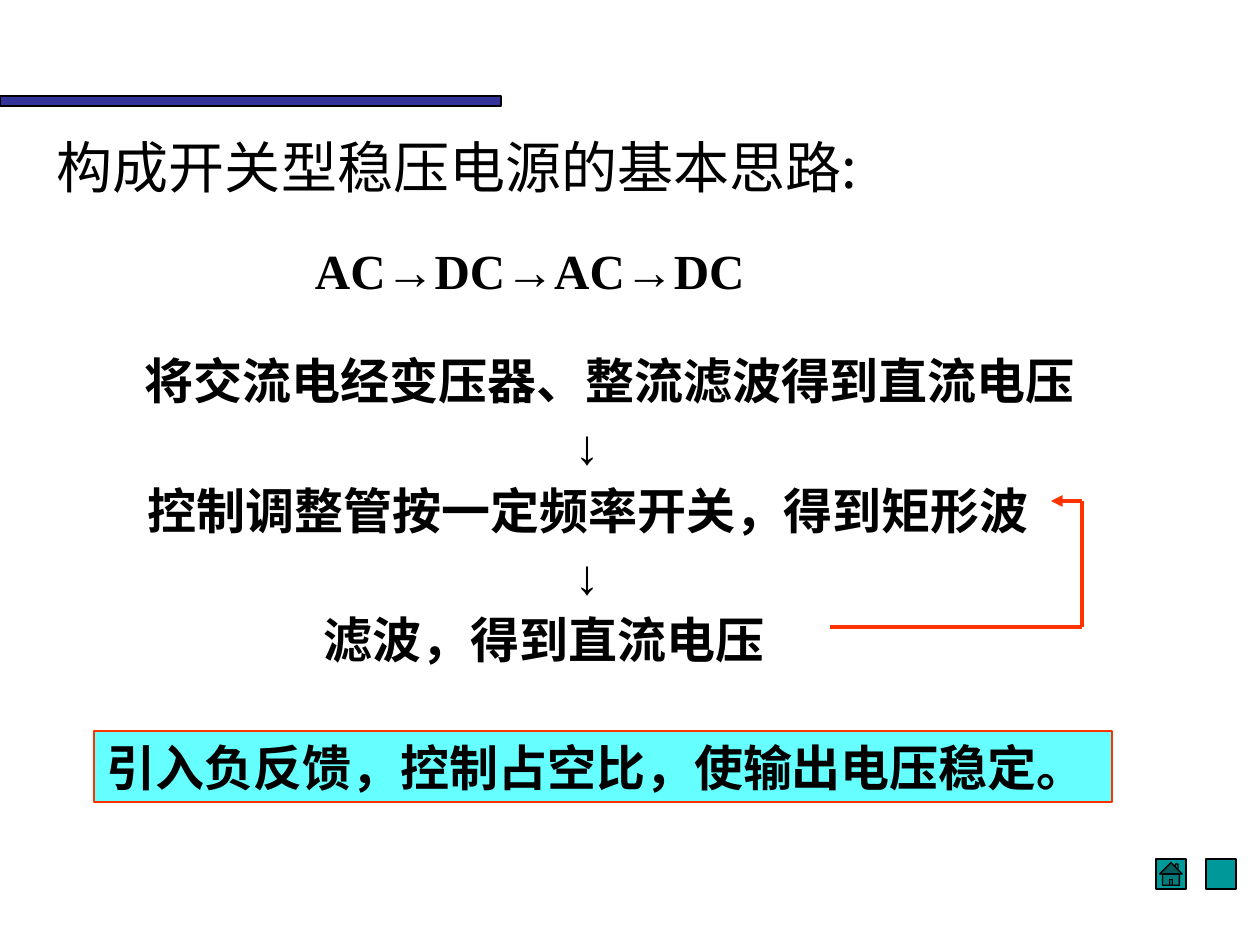
from dataclasses import dataclass
from itertools import pairwise

from lxml.etree import SubElement
from pptx import Presentation
from pptx.dml.color import RGBColor as RGB
from pptx.enum.shapes import MSO_CONNECTOR as CONN, MSO_SHAPE as SHAPE
from pptx.enum.text import MSO_ANCHOR as ANCHOR, PP_ALIGN as ALIGN
from pptx.oxml.ns import qn
from pptx.util import Emu, Pt


@dataclass(frozen=True)
class Theme:
    ink: RGB = RGB(0, 0, 0)
    bar: RGB = RGB(0x33, 0x33, 0x99)
    button: RGB = RGB(0, 0x99, 0x99)
    accent: RGB = RGB(0xFF, 0x33, 0)
    panel: RGB = RGB(0x66, 0xFF, 0xFF)
    cjk: str = "Noto Sans CJK SC"
    sans: str = "Arial"
    serif: str = "Times New Roman"
    title: int = 32
    body: int = 28
    thin: float = 0.75
    thick: float = 2.25


T = Theme()

TITLE = "构成开关型稳压电源的基本思路:"
CHAIN = "AC→DC→AC→DC"
STEPS = [  # text, indent in px
    ("将交流电经变压器、整流滤波得到直流电压", 19),
    ("↓", 449),
    ("控制调整管按一定频率开关，得到矩形波", 22),
    ("↓", 449),
    ("滤波，得到直流电压", 198),
]
CONCLUSION = "引入负反馈，控制占空比，使输出电压稳定。"
FEEDBACK = [(830, 627), (1082, 627), (1082, 501), (1051, 501)]
BUTTONS = [SHAPE.ACTION_BUTTON_HOME, SHAPE.ACTION_BUTTON_CUSTOM]
BUTTON_X, BUTTON_Y, BUTTON_SIZE, BUTTON_STEP = 1156, 859, 30, 50
INSET_X, INSET_Y = 13, 6


def px(n):
    return Emu(round(n * 914400 / 126))


def add_shape(s, kind, box, fill, line):
    sp = s.shapes.add_shape(kind, *map(px, box))
    sp.shadow.inherit = False
    sp.fill.solid()
    sp.fill.fore_color.rgb = fill
    sp.line.color.rgb = line
    sp.line.width = Pt(T.thin)
    return sp


def write(sp, lines, font, size, spacing, bold=True, anchor=ANCHOR.TOP, top=INSET_Y):
    """Fill a shape with (text, indent) lines."""
    tf = sp.text_frame
    tf.word_wrap = True
    tf.vertical_anchor = anchor
    tf.margin_left = tf.margin_right = px(INSET_X)
    tf.margin_top, tf.margin_bottom = px(top), px(INSET_Y)
    for i, (text, indent) in enumerate(lines):
        p = tf.add_paragraph() if i else tf.paragraphs[0]
        p.alignment = ALIGN.LEFT
        p.line_spacing = spacing
        if indent:
            p._p.get_or_add_pPr().set("marL", str(px(indent)))
        r = p.add_run()
        r.text = text
        r.font.name, r.font.size, r.font.bold = font, Pt(size), bold
        r.font.color.rgb = T.ink
        SubElement(r._r.get_or_add_rPr(), qn("a:ea")).set("typeface", T.cjk)


def add_line(s, start, end, arrow):
    c = s.shapes.add_connector(CONN.STRAIGHT, *map(px, start + end))
    c.line.color.rgb = T.accent
    c.line.width = Pt(T.thick)
    if arrow:
        SubElement(c.line._get_or_add_ln(), qn("a:tailEnd")).set("type", "triangle")
    SubElement(c._element.spPr, qn("a:effectLst"))


def main():
    prs = Presentation()
    prs.slide_width, prs.slide_height = px(1260), px(945)
    s = prs.slides.add_slide(prs.slide_layouts[6])

    add_shape(s, SHAPE.RECTANGLE, (0, 96, 501, 10), T.bar, T.ink)
    for i, kind in enumerate(BUTTONS):
        box = (BUTTON_X + i * BUTTON_STEP, BUTTON_Y, BUTTON_SIZE, BUTTON_SIZE)
        add_shape(s, kind, box, T.button, T.ink)

    title = s.shapes.add_textbox(*map(px, (44, 135, 948, 73)))
    write(title, [(TITLE, 0)], T.cjk, T.title, 0.85, bold=False, anchor=ANCHOR.MIDDLE)

    steps = s.shapes.add_textbox(*map(px, (113, 334, 1018, 348)))
    write(steps, STEPS, T.sans, T.body, Pt(37), top=11)

    for start, end in pairwise(FEEDBACK):
        add_line(s, start, end, arrow=end == FEEDBACK[-1])

    panel = add_shape(s, SHAPE.RECTANGLE, (94, 731, 1018, 71), T.panel, T.accent)
    write(panel, [(CONCLUSION, 0)], T.serif, T.body, Pt(34), anchor=ANCHOR.MIDDLE)

    chain = s.shapes.add_textbox(*map(px, (302, 234, 694, 72)))
    write(chain, [(CHAIN, 0)], T.serif, T.body, Pt(34))

    prs.save("out.pptx")


if __name__ == "__main__":
    main()
